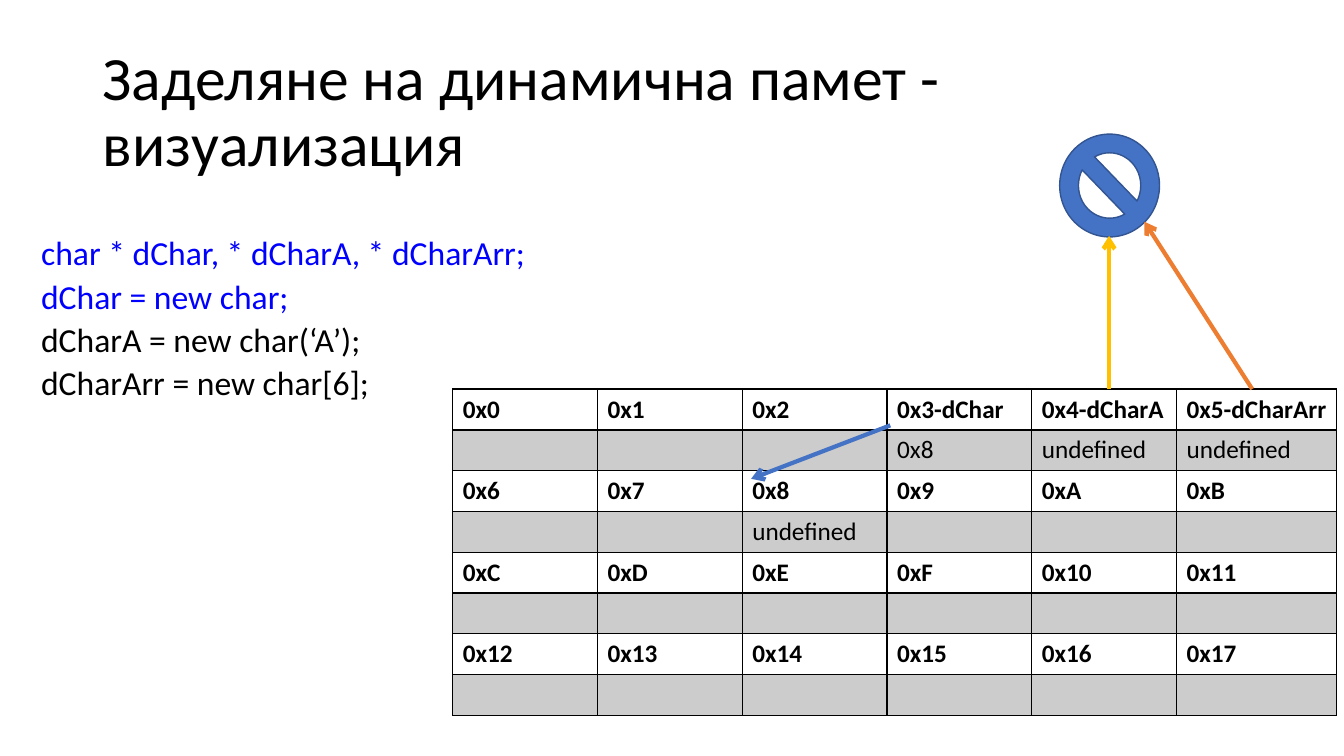
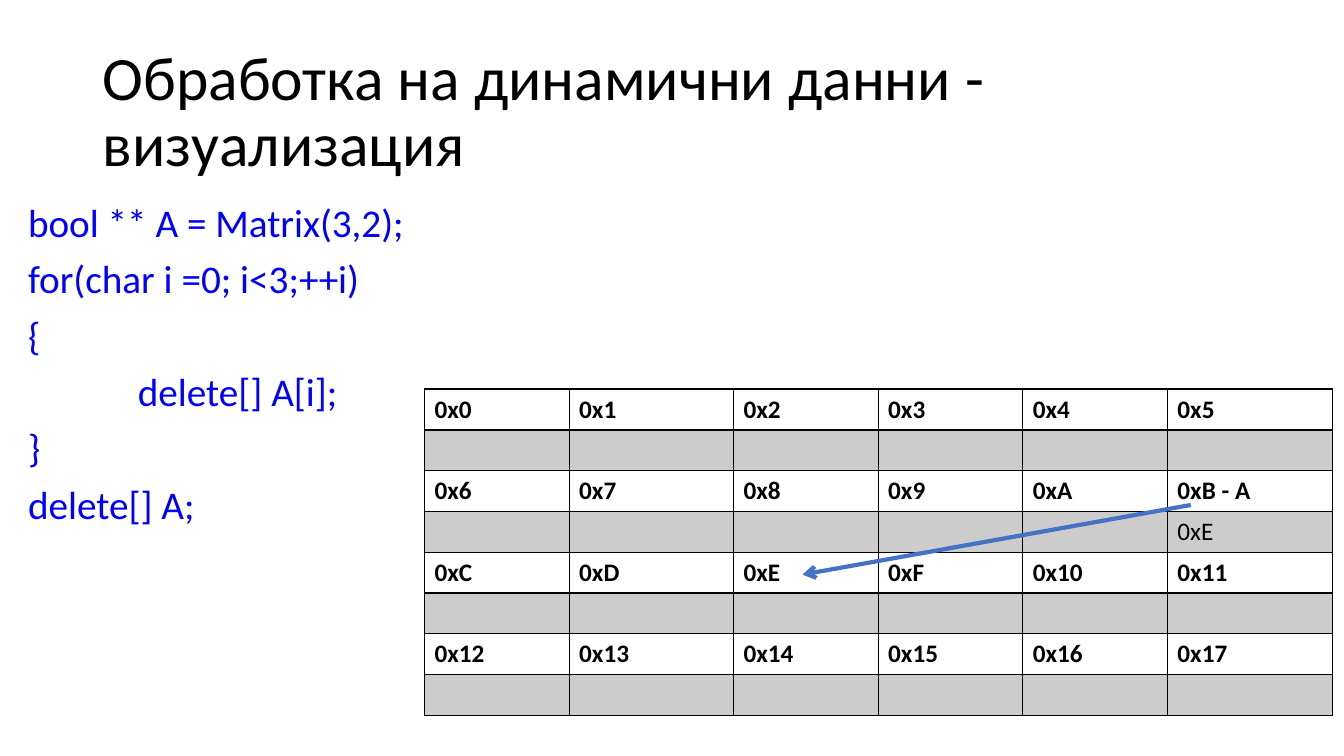
"""Build two slides that show dynamic memory as a table of addresses."""
from dataclasses import dataclass

from lxml import etree
from pptx import Presentation
from pptx import util as u
from pptx.dml.color import RGBColor
from pptx.enum import shapes, text
from pptx.oxml import ns


@dataclass(frozen=True)
class Theme:
    """Colours, font and type sizes shared by the slides."""
    font: str = "Calibri"
    ink: str = "000000"
    done: str = "0000FF"
    blue: str = "4472C4"
    blue_edge: str = "325491"
    gold: str = "FFC000"
    orange: str = "ED7D31"
    title_size: int = 44
    cell_size: int = 18
    shade: int = 20


THEME = Theme()
COLUMNS, BANDS = 6, 4
TABLE_TOP, TABLE_HEIGHT = 3.86, 3.24


def apply(target, values):
    """Set each named format value on the target."""
    for name, value in values.items():
        setattr(target, name, value)


def add_child(parent, tag, **attributes):
    """Append a drawing element and return it."""
    return etree.SubElement(parent, ns.qn(tag), attributes)


def write(paragraph, wording, size, color=THEME.ink, bold=False):
    """Write one run in the theme font."""
    run = paragraph.add_run()
    run.text = wording
    apply(run.font, {"name": THEME.font, "size": u.Pt(size), "bold": bold})
    run.font.color.rgb = RGBColor.from_string(color)


def add_lines(slide, box, lines, size, before=0, anchor=text.MSO_ANCHOR.TOP):
    """Add a text box from (wording, colour, indent) lines."""
    frame = slide.shapes.add_textbox(*map(u.Inches, box)).text_frame
    apply(frame, {"word_wrap": True, "vertical_anchor": anchor})
    for index, (wording, color, indent) in enumerate(lines):
        paragraph = frame.add_paragraph() if index else frame.paragraphs[0]
        apply(paragraph, {"line_spacing": 0.9, "space_before": u.Pt(before)})
        paragraph._p.get_or_add_pPr().set("marL", str(u.Inches(indent)))
        write(paragraph, wording, size, color)


def add_title(slide, wording):
    """Add the slide title."""
    add_lines(slide, (0.92, 0.4, 11.5, 1.45), [(wording, THEME.ink, 0)],
              THEME.title_size, anchor=text.MSO_ANCHOR.MIDDLE)


def add_borders(cell, row):
    """Draw the cell grid, with a heavier rule below the first row."""
    heavy = {"a:lnB": 0, "a:lnT": 1}
    for side in ("a:lnL", "a:lnR", "a:lnT", "a:lnB"):
        width = u.Pt(2 if heavy.get(side) == row else 1)
        edge = add_child(cell._tc.get_or_add_tcPr(), side, w=str(width))
        add_child(add_child(edge, "a:solidFill"), "a:srgbClr", val=THEME.ink)


def fill_cell(cell, shaded):
    """Shade a value cell and leave an address cell clear."""
    if not shaded:
        cell.fill.background()
        return
    cell.fill.solid()
    cell.fill.fore_color.rgb = RGBColor.from_string(THEME.ink)
    tint = cell._tc.tcPr.find(ns.qn("a:solidFill")).find(ns.qn("a:srgbClr"))
    add_child(tint, "a:alpha", val=str(THEME.shade * 1000))


def add_memory(slide, left, total_width, wide_columns, labels, values):
    """Add the memory table: address rows alternate with value rows."""
    narrow = (total_width - sum(wide_columns.values())) / (COLUMNS - len(wide_columns))
    rows = 2 * BANDS
    memory = slide.shapes.add_table(
        rows, COLUMNS, *map(u.Inches, (left, TABLE_TOP, total_width, TABLE_HEIGHT))).table
    apply(memory, {"first_row": False, "horz_banding": False})
    for column in range(COLUMNS):
        memory.columns[column].width = u.Inches(wide_columns.get(column, narrow))
    for row in range(rows):
        band, is_value = divmod(row, 2)
        for column in range(COLUMNS):
            address = band * COLUMNS + column
            wording = values.get(address, "") if is_value else f"0x{address:X}{labels.get(address, '')}"
            cell = memory.cell(row, column)
            add_borders(cell, row)
            fill_cell(cell, is_value)
            if wording:
                write(cell.text_frame.paragraphs[0], wording, THEME.cell_size, bold=not is_value)


def add_pointer(slide, start, end, color):
    """Add an arrow from a pointer to its target."""
    pointer = slide.shapes.add_connector(
        shapes.MSO_CONNECTOR.STRAIGHT, *map(u.Inches, start + end))
    pointer.line.width = u.Pt(3)
    pointer.line.color.rgb = RGBColor.from_string(color)
    add_child(pointer.line._get_or_add_ln(), "a:tailEnd", type="arrow")
    add_child(pointer._element.spPr, "a:effectLst")


def add_invalid_target(slide):
    """Add the sign for a target that is not allocated."""
    sign = slide.shapes.add_shape(
        shapes.MSO_SHAPE.NO_SYMBOL, *map(u.Inches, (10.51, 1.33, 0.99, 1.02)))
    sign.rotation = 180
    sign.shadow.inherit = False
    sign.fill.solid()
    sign.fill.fore_color.rgb = RGBColor.from_string(THEME.blue)
    sign.line.color.rgb = RGBColor.from_string(THEME.blue_edge)
    sign.line.width = u.Pt(1)


def build_allocation(slide):
    """Build the slide on allocating memory."""
    add_title(slide, "Заделяне на динамична памет - визуализация")
    code = [("char * dChar, * dCharA, * dCharArr;", THEME.done),
            ("dChar = new char;", THEME.done),
            ("dCharA = new char(‘A’);", THEME.ink),
            ("dCharArr = new char[6];", THEME.ink)]
    add_lines(slide, (0, 2.3, 12.74, 5.2),
              [(wording, color, 0.31) for wording, color in code], 24, before=5)
    add_memory(slide, 4.49, 8.77, {5: 1.59},
               labels={3: "-dChar", 4: "-dCharA", 5: "-dCharArr"},
               values={3: "0x8", 4: "undefined", 5: "undefined", 8: "undefined"})
    add_invalid_target(slide)
    for start, end, color in (((8.83, 4.22), (7.45, 4.75), THEME.blue),
                              ((11, 3.86), (11, 2.34), THEME.gold),
                              ((12.42, 3.86), (11.35, 2.2), THEME.orange)):
        add_pointer(slide, start, end, color)


def build_release(slide):
    """Build the slide on releasing a matrix."""
    add_title(slide, "Обработка на динамични данни - визуализация")
    code = [("bool ** A = Matrix(3,2);", 0), ("for(char i =0; i<3;++i)", 0), ("{", 0),
            ("delete[] A[i];", 1.09), ("}", 0), ("delete[] A;", 0)]
    add_lines(slide, (0.18, 1.97, 11.5, 4.76),
              [(wording, THEME.done, indent) for wording, indent in code], 28, before=10)
    add_memory(slide, 4.21, 9.01, {1: 1.63, 5: 1.64}, labels={11: " - A"}, values={11: "0xE"})
    add_pointer(slide, (11.81, 5.01), (7.96, 5.7), THEME.blue)


def main():
    """Build and save the presentation."""
    deck = Presentation()
    apply(deck, {"slide_width": u.Inches(13.33), "slide_height": u.Inches(7.5)})
    for build in (build_allocation, build_release):
        build(deck.slides.add_slide(deck.slide_layouts[6]))
    deck.save("out.pptx")


main()
